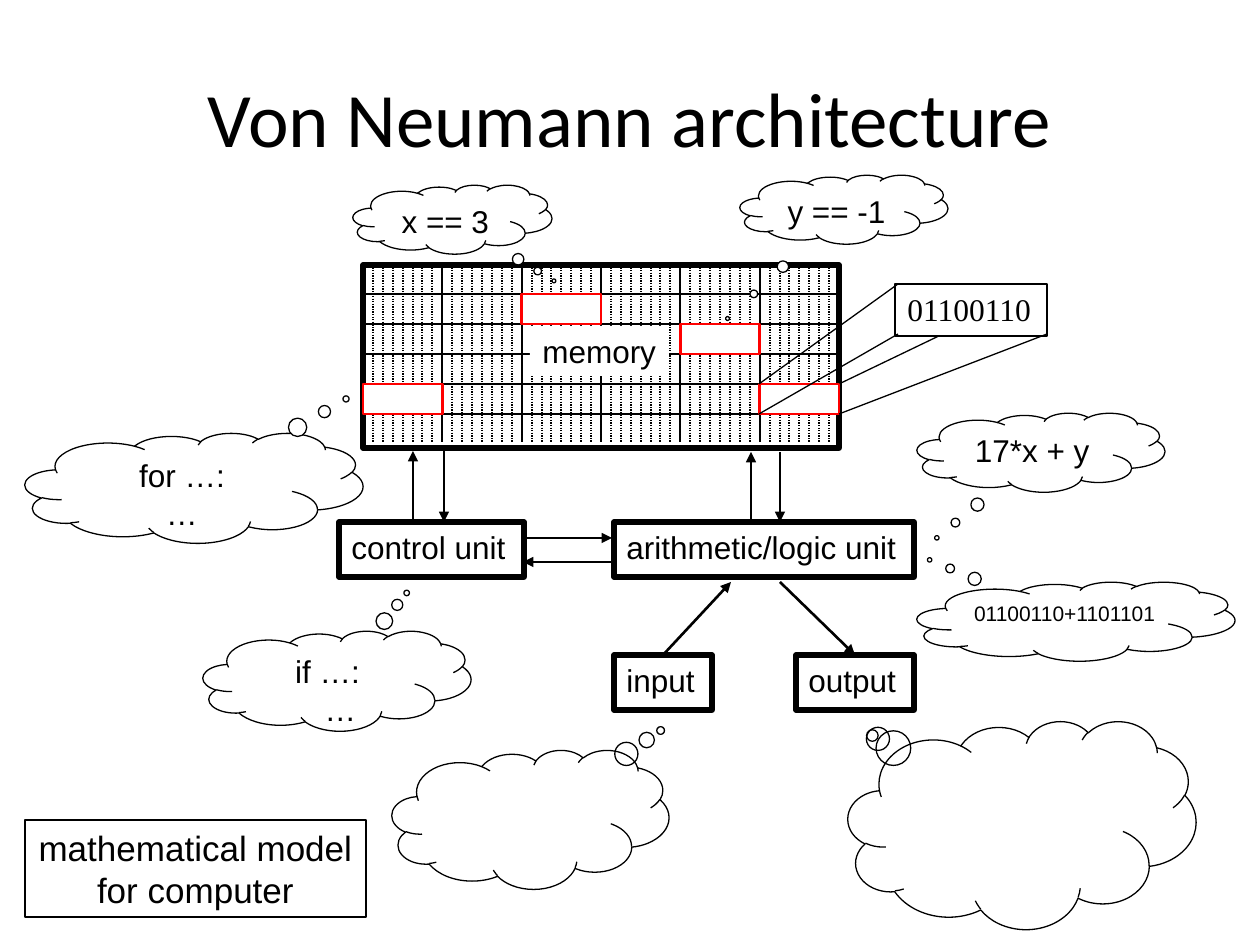
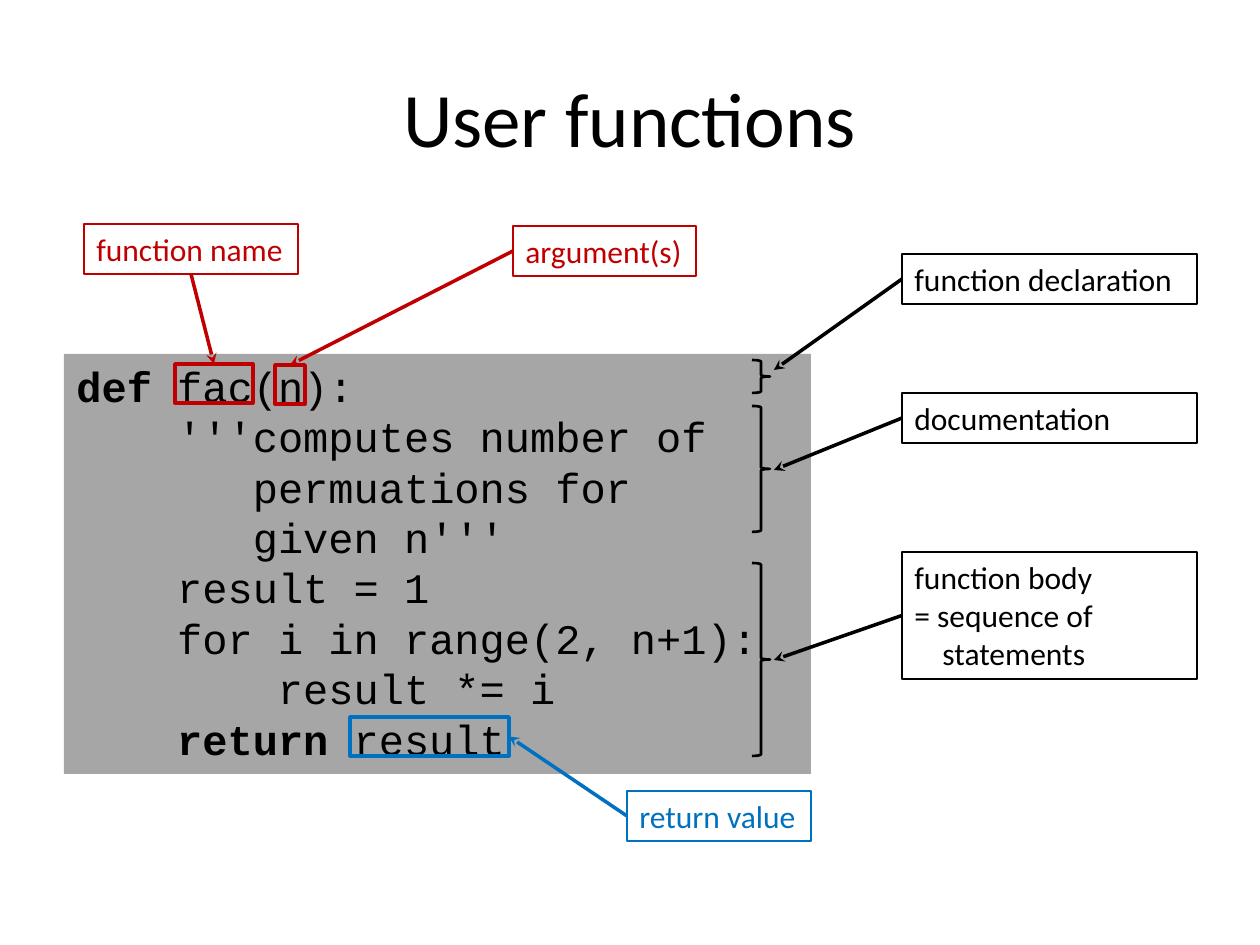
from lxml import etree
from pptx import Presentation
from pptx import util as u
from pptx.dml.color import RGBColor
from pptx.enum import dml, shapes, text
from pptx.oxml.ns import qn

SCALE = 914400 / 126  # EMU in one px
BLACK = RGBColor(0, 0, 0)
WHITE = RGBColor(255, 255, 255)
RED = RGBColor(255, 0, 0)
CRIMSON = RGBColor(0xC0, 0, 0)
BLUE = RGBColor(0, 0x70, 0xC0)
GREY = RGBColor(0xA6, 0xA6, 0xA6)
RECT = shapes.MSO_SHAPE.RECTANGLE
CLOUD = shapes.MSO_SHAPE.CLOUD_CALLOUT
BRACE = shapes.MSO_SHAPE.RIGHT_BRACE
LEFT, CENTER = text.PP_ALIGN.LEFT, text.PP_ALIGN.CENTER
TITLE = (63, 38, 1134, 158)

# Slide 1: place and name of each unit
UNITS = {
    "control unit": (339, 522, 185, 55),
    "arithmetic/logic unit": (614, 522, 300, 55),
    "input": (614, 655, 98, 55),
    "output": (796, 655, 118, 55),
}
MEMORY = (363, 265, 476, 183)
COLS, BITS, ROWS = 6, 8, 6
ROW_TOP, ROW_H, GRID_END = 294, 30, 442
LABEL = (530, 326, 139, 50)
CELLS = [(2, 0), (4, 1), (0, 3), (5, 3)]  # column, row
ARROWS = [
    (413, 522, 413, 451), (444, 451, 444, 522),
    (751, 522, 751, 452), (780, 452, 780, 522),
    (523, 538, 612, 538), (612, 562, 523, 562),
]
BYTE = (895, 284, 152, 52)
FAN = [
    (839, 384, 1047, 284), (759, 384, 898, 284),
    (759, 414, 898, 334), (839, 414, 1047, 334),
]
# place, tail of the bubbles, fill, size, paragraphs
CLOUDS = [
    ((917, 413, 248, 79), (-0.42, 1.08), None, 18, ["17*x + y"]),
    ((392, 750, 277, 139), (0.47, -0.64), None, 18, []),
    ((848, 721, 348, 208), (-0.43, -0.43), None, 18, []),
    ((203, 631, 268, 100), (0.26, -0.88), None, 18, ["if …:", (26, "…")]),
    ((353, 185, 199, 69), (0.51, 0.89), WHITE, 18, ["x == 3"]),
    ((740, 175, 208, 69), (-0.56, 1.58), WHITE, 18, ["y == -1"]),
    ((25, 433, 338, 110), (0.45, -0.81), WHITE, 18, ["for …:", "…"]),
    ((917, 582, 318, 79), (-0.46, -0.78), None, 12, ["01100110+1101101"]),
]
MODEL = (25, 820, 341, 97)

# Slide 2: indent in characters, then runs (text, bold)
CODE_BOX = (64, 354, 747, 420)
CHAR = 25.2
CODE = [
    (0, [("def ", True), ("fac(n):", False)]),
    (4, "'''computes number of"),
    (7, "permuations for"),
    (7, "given n'''"),
    (4, "result = 1"),
    (4, "for i in range(2, n+1):"),
    (8, "result *= i"),
    (4, [("return", True), (" result", False)]),
]
# note, its place, its side, marked place, marked side, colour
MARKS = [
    ("argument(s)", (513, 226, 183, 50), 1, (275, 365, 30, 39), 0, CRIMSON),
    ("return value", (627, 791, 184, 50), 1, (350, 717, 159, 39), 3, BLUE),
    ("function name", (84, 224, 214, 50), 2, (175, 364, 78, 39), 0, CRIMSON),
]
NOTE_X, NOTE_W = 902, 295
BRACE_X, BRACE_W, TIP_X = 752, 18, 774
# note, its top and height, brace top and height, arrow end
PARTS = [
    (["documentation"], 393, 50, 406, 126, 470),
    (["function body", "= sequence of", (28, "statements")],
     552, 127, 563, 193, 660),
    (["function declaration"], 254, 50, 360, 33, 370),
]


def px(*vals):
    return [u.Emu(round(v * SCALE)) for v in vals]


def write(shape, paras, size, font="Arial", color=BLACK, align=LEFT,
          wrap=True, grow=False, anchor=text.MSO_ANCHOR.TOP):
    """Fill a shape with paragraphs: text, or (indent, text or runs)."""
    frame = shape.text_frame
    frame.word_wrap = wrap
    frame.vertical_anchor = anchor
    if grow:
        frame.auto_size = text.MSO_AUTO_SIZE.SHAPE_TO_FIT_TEXT
    for i, para in enumerate(paras):
        indent, runs = (0, para) if isinstance(para, str) else para
        if isinstance(runs, str):
            runs = [(runs, False)]
        p = frame.add_paragraph() if i else frame.paragraphs[0]
        p.alignment = align
        if indent:
            p._p.get_or_add_pPr().set("marL", str(round(indent * SCALE)))
        for words, bold in runs:
            run = p.add_run()
            run.text = words
            run.font.name, run.font.size = font, u.Pt(size)
            run.font.bold = bold
            run.font.color.rgb = color


def draw(slide, kind, place, fill=None, line=BLACK, width=0.75):
    shape = slide.shapes.add_shape(kind, *px(*place))
    shape.shadow.inherit = False
    if fill is None:
        shape.fill.background()
    else:
        shape.fill.solid()
        shape.fill.fore_color.rgb = fill
    if line is None:
        shape.line.fill.background()
    else:
        shape.line.color.rgb = line
        shape.line.width = u.Pt(width)
    return shape


def link(slide, ends, width=0.75, color=BLACK, head=None, dash=None):
    """Draw a straight line, with an arrowhead of type head at its end."""
    wire = slide.shapes.add_connector(
        shapes.MSO_CONNECTOR.STRAIGHT, *px(*ends))
    wire.line.color.rgb = color
    wire.line.width = u.Pt(width)
    if dash:
        wire.line.dash_style = dash
    if head:
        ln = wire.line._get_or_add_ln()
        etree.SubElement(ln, qn("a:tailEnd"), type=head)
    etree.SubElement(wire._element.spPr, qn("a:effectLst"))
    return wire


def start(deck, title):
    slide = deck.slides.add_slide(deck.slide_layouts[6])
    box = slide.shapes.add_textbox(*px(*TITLE))
    write(box, [title], 44, "Calibri", align=CENTER,
          anchor=text.MSO_ANCHOR.MIDDLE)
    return slide


def grid(slide):
    left, top, wide, _ = MEMORY
    draw(slide, RECT, MEMORY, width=3)
    for row in range(ROWS - 1):
        y = ROW_TOP + row * ROW_H
        link(slide, (left, y, left + wide, y))
    for bit in range(1, COLS * BITS):
        x = round(left + bit * wide / (COLS * BITS))
        if bit % BITS:
            link(slide, (x, top, x, GRID_END), dash=dml.MSO_LINE.ROUND_DOT)
        else:
            link(slide, (x, top, x, GRID_END), 1.5)


def machine(deck):
    slide = start(deck, "Von Neumann architecture")
    units = {}
    for name, place in UNITS.items():
        units[name] = draw(slide, RECT, place, width=3)
        write(units[name], [name], 18, wrap=False, grow=True)
    grid(slide)
    for ends in ARROWS:
        link(slide, ends, 1.5, head="triangle")
    feed = link(slide, (662, 651, 731, 582), 1.5, head="triangle")
    feed.begin_connect(units["input"], 0)
    yield_ = link(slide, (780, 582, 850, 651), 1.5, head="triangle")
    yield_.end_connect(units["output"], 0)
    label = draw(slide, RECT, LABEL, WHITE, None)
    write(label, ["memory"], 18, wrap=False, grow=True)

    link(slide, FAN[0])
    byte = draw(slide, RECT, BYTE, WHITE)
    write(byte, ["01100110"], 18, "Times New Roman", wrap=False, grow=True)
    cell_w = MEMORY[2] / COLS
    for col, row in CELLS:
        place = (MEMORY[0] + col * cell_w, ROW_TOP + row * ROW_H,
                 cell_w, ROW_H)
        draw(slide, RECT, place, WHITE, RED, 1.5)
    for ends in FAN[1:]:
        link(slide, ends)

    for place, tail, fill, size, paras in CLOUDS:
        cloud = draw(slide, CLOUD, place, fill)
        cloud.adjustments[0], cloud.adjustments[1] = tail
        write(cloud, paras, size, align=CENTER)
    model = draw(slide, RECT, MODEL, width=1.5)
    write(model, ["mathematical model", "for computer"], 20,
          align=CENTER, wrap=False, grow=True)


def functions(deck):
    slide = start(deck, "User functions")
    code = draw(slide, RECT, CODE_BOX, GREY, None)
    lines = [(chars * CHAR, runs) for chars, runs in CODE]
    write(code, lines, 24, "Courier New", grow=True)

    for name, place, side, spot, end, color in MARKS:
        mark = draw(slide, RECT, spot, None, color, 2)
        note = draw(slide, RECT, place, WHITE, color, 1.5)
        write(note, [name], 18, "Calibri", color, wrap=False, grow=True)
        wire = link(slide, (0, 0, 1, 1), 2, color, "stealth")
        wire.begin_connect(note, side)
        wire.end_connect(mark, end)

    for paras, top, high, brace_y, brace_h, tip in PARTS:
        draw(slide, BRACE, (BRACE_X, brace_y, BRACE_W, brace_h), width=1.5)
        note = draw(slide, RECT, (NOTE_X, top, NOTE_W, high), WHITE,
                    width=1.5)
        write(note, paras, 18, "Calibri", grow=True)
        wire = link(slide, (NOTE_X, top + high // 2, TIP_X, tip), 2,
                    head="stealth")
        wire.begin_connect(note, 1)


def main():
    deck = Presentation()
    deck.slide_width, deck.slide_height = px(1260, 945)
    machine(deck)
    functions(deck)
    deck.save("out.pptx")


if __name__ == "__main__":
    main()
